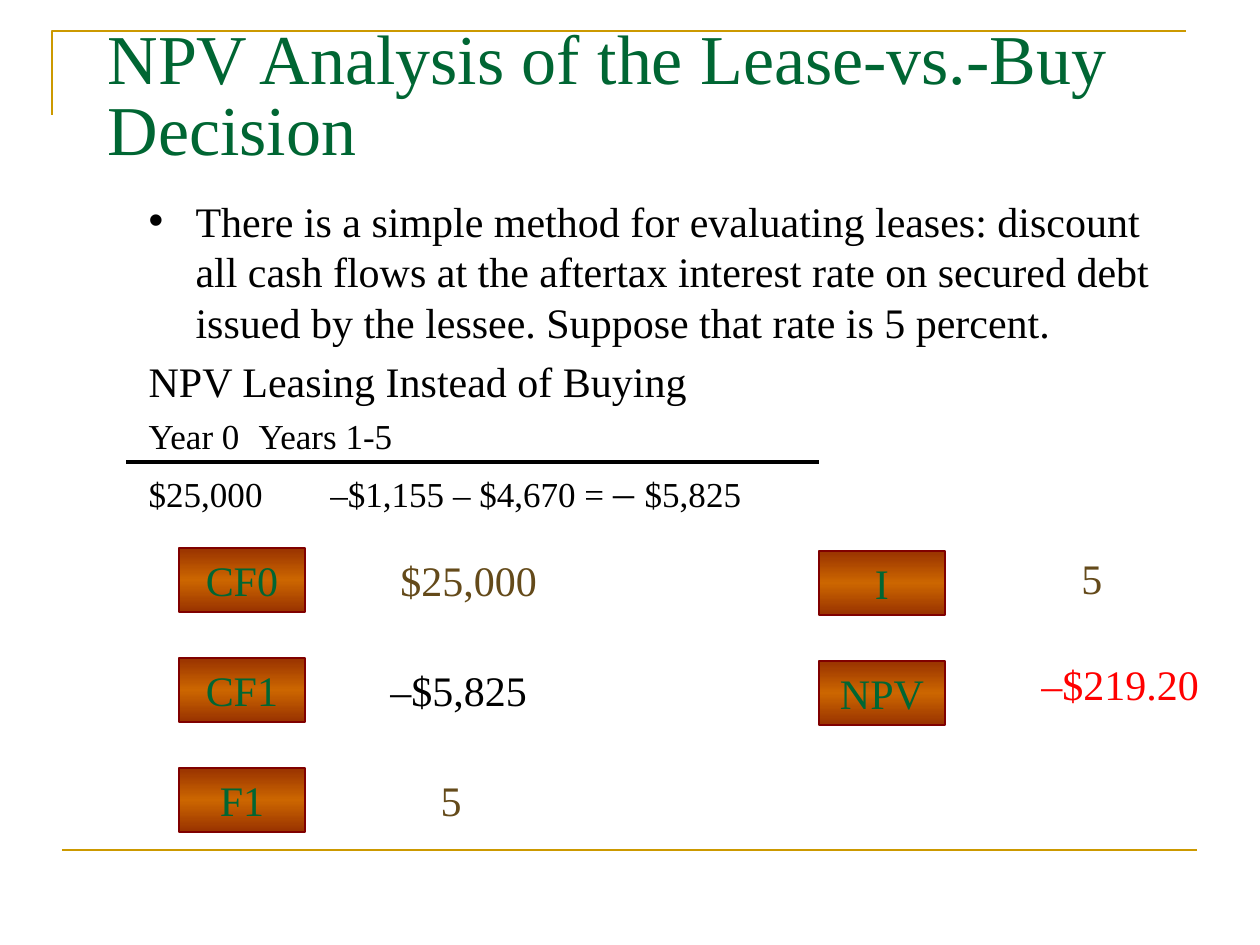
from copy import deepcopy
from pptx import Presentation
from pptx.dml.color import RGBColor
from pptx.enum.shapes import MSO_CONNECTOR as Link, MSO_SHAPE as Shape
from pptx.enum.text import MSO_ANCHOR as Anchor, MSO_AUTO_SIZE as Fit, PP_ALIGN as Align
from pptx.oxml.ns import qn
from pptx.oxml.xmlchemy import OxmlElement
from pptx.util import Pt

PX = 914400 / 126
FACE = "Times New Roman"
GREEN, GOLD, BROWN, BLACK = "006633", "CC9900", "644A1A", "000000"


def emu(*vals):
    return [round(v * PX) for v in vals]


def rgb(code):
    return RGBColor.from_string(code)


def put(obj, vals):
    for key, val in vals.items():
        setattr(obj, key, val)


def place(shape, box):
    put(shape, dict(zip(("left", "top", "width", "height"), emu(*box))))


def setup(frame, fit=Fit.NONE, anchor=Anchor.TOP):
    put(frame, {"word_wrap": True, "auto_size": fit, "vertical_anchor": anchor})


def style(font, size, hue):
    put(font, {"name": FACE, "size": Pt(size), "bold": False})
    font.color.rgb = rgb(hue)


def write(frame, text, size, hue, align=Align.LEFT):
    para = frame.paragraphs[0]
    para.text = text
    para.alignment = align
    style(para.runs[0].font, size, hue)
    return para


def rule(slide, start, end, hue, width):
    line = slide.shapes.add_connector(Link.STRAIGHT, *emu(*start, *end))
    line.line.color.rgb = rgb(hue)
    line.line.width = Pt(width)
    line._element.spPr.append(OxmlElement("a:effectLst"))


def border(slide, box):
    x, y, w, h = box
    pen = slide.shapes.build_freeform(*emu(x, y + 84), scale=1.0)
    pen.add_line_segments([emu(x, y), emu(x + w - 11, y)], close=False)
    edge = pen.convert_to_shape()
    edge.shadow.inherit = False
    edge.fill.background()
    edge.line.color.rgb = rgb(GOLD)
    edge.line.width = Pt(1.5)
    rule(slide, (x + 10, y + h), (x + w, y + h), GOLD, 1.5)


def title(slide, box):
    head = slide.shapes.title
    place(head, box)
    setup(head.text_frame)
    para = write(head.text_frame, "NPV Analysis of the Lease-vs.-Buy Decision", 40, GREEN)
    put(para, {"line_spacing": 0.85, "space_after": Pt(6)})


def indent(para, mark, stop):
    props = para._p.get_or_add_pPr()
    left, tab = emu(47, stop)
    props.set("marL", str(left))
    props.set("indent", str(-left))
    bullet = OxmlElement("a:buChar" if mark else "a:buNone")
    if mark:
        bullet.set("char", mark)
    props.append(bullet)
    if stop:
        tabs, item = OxmlElement("a:tabLst"), OxmlElement("a:tab")
        item.set("pos", str(tab))
        item.set("algn", "l")
        tabs.append(item)
        props.append(tabs)


def body(slide, box):
    x, y, w, h = box
    area = slide.placeholders[1]
    place(area, box)
    frame = area.text_frame
    setup(frame)
    rows = [
        ("•", 0, [("There is a simple method for evaluating leases: discount all cash flows "
                   "at the aftertax interest rate on secured debt issued by the lessee. "
                   "Suppose that rate is 5 percent.", 24)]),
        ("", 0, [("NPV Leasing Instead of Buying", 24)]),
        ("", 299, [("Year 0\tYears 1-5", 20)]),
        ("", 299, [("$25,000\t –$1,155 – $4,670 = ", 20), ("– ", 24), ("$5,825", 20)]),
    ]
    for i, (mark, stop, runs) in enumerate(rows):
        para = frame.add_paragraph() if i else frame.paragraphs[0]
        para.space_before = Pt(5 if i else 0)
        indent(para, mark, stop)
        for text, size in runs:
            run = para.add_run()
            run.text = text
            style(run.font, size, BLACK)
    rule(slide, (x - 10, y + 273), (x + 683, y + 273), BLACK, 2.25)


def key(slide, box, text):
    tile = slide.shapes.add_shape(Shape.RECTANGLE, *emu(*box))
    tile.shadow.inherit = False
    tile.fill.gradient()
    tile.fill.gradient_angle = 270
    stops = tile._element.spPr.find(".//" + qn("a:gsLst"))
    stops.insert(1, deepcopy(stops[0]))
    for stop, hue, spot in zip(tile.fill.gradient_stops, ("993300", "CC6600", "993300"), (0, 0.5, 1)):
        stop.color.rgb = rgb(hue)
        stop.position = spot
    tile.line.color.rgb = rgb("800000")
    tile.line.width = Pt(1)
    setup(tile.text_frame, Fit.SHAPE_TO_FIT_TEXT)
    write(tile.text_frame, text, 24, GREEN, Align.CENTER)


def value(slide, box, text, hue, align):
    note = slide.shapes.add_textbox(*emu(*box))
    setup(note.text_frame, Fit.SHAPE_TO_FIT_TEXT)
    write(note.text_frame, text, 24, hue, align)


def keypad(slide, box, rows):
    x, y, w, h = box
    step = 110
    for i, (name, text, hue, align, dx, dy, wide) in enumerate(rows):
        top = y + i * step
        key(slide, (x, top, w, h), name)
        value(slide, (x + dx, top + dy, wide, 63), text, hue, align)


def main():
    deck = Presentation()
    put(deck, dict(zip(("slide_width", "slide_height"), emu(1260, 945))))
    slide = deck.slides.add_slide(deck.slide_layouts[1])
    border(slide, (52, 31, 1145, 819))
    title(slide, (95, 21, 1134, 158))
    body(slide, (136, 189, 1061, 336))
    keypad(slide, (179, 548, 126, 64), [
        ("CF0", "$25,000", BROWN, Align.LEFT, 209, 0, 221),
        ("CF1", "–$5,825", BLACK, Align.LEFT, 199, 0, 231),
        ("F1", "5", BROWN, Align.CENTER, 209, 0, 126),
    ])
    keypad(slide, (819, 551, 126, 64), [
        ("I", "5", BROWN, Align.CENTER, 210, -5, 126),
        ("NPV", "–$219.20", "FF0000", Align.LEFT, 210, -9, 189),
    ])
    deck.save("out.pptx")


if __name__ == "__main__":
    main()
